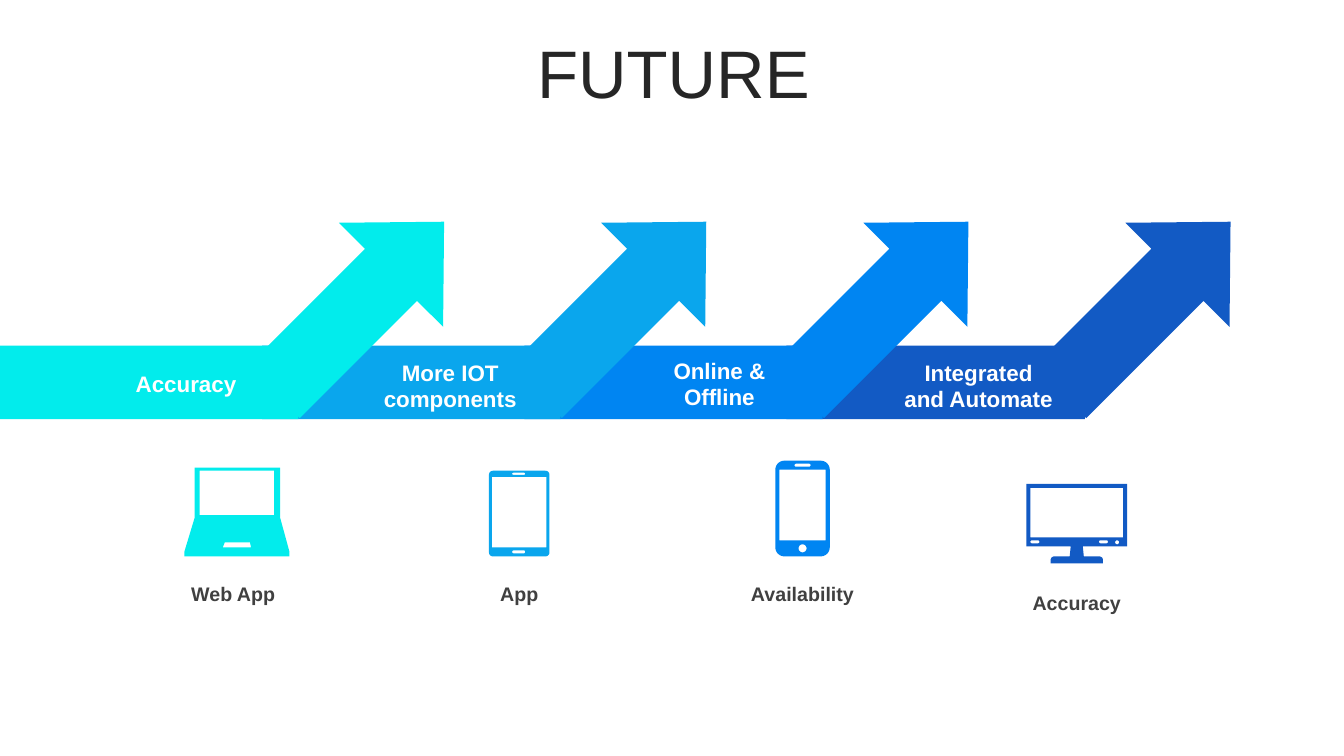
"""Build the FUTURE slide: four linked arrows above four device icons."""
from math import cos, pi, sin
from pptx import Presentation
from pptx.dml.color import RGBColor
from pptx.enum import shapes, text

PX = 9144
SIZE = (1333, 750)
THEME = {
    "font": "Arial",
    "hues": ["02ECEC", "0AA6ED", "0085F2", "125AC4"],
    "title": {"size": 48, "color": "262626", "bold": False},
    "step": {"size": 16, "color": "FFFFFF", "bold": True},
    "label": {"size": 14, "color": "404040", "bold": True},
}

TITLE = ("FUTURE", (35, 37, 1266, 79))
STEPS = [
    ("Accuracy", (100, 362, 169, 37)),
    ("More IOT components", (362, 351, 169, 64)),
    ("Online & Offline", (629, 349, 169, 64)),
    ("Integrated and Automate", (886, 351, 169, 64)),
]
LABELS = [
    ("Web App ", (104, 572, 260, 34)),
    ("App", (385, 572, 260, 34)),
    ("Availability", (666, 572, 260, 34)),
    ("Accuracy", (938, 581, 260, 34)),
]
PITCH = 260
BAR = (0, 343, 296, 73)
ARROW = (283, 185, 146, 239)

# Each icon is a list of outlines: a tuple is a box (x, y, w, h, radius), a list is a polygon.
LAPTOP = [
    [(193, 464), (278, 464), (278, 514), (287, 547),
     (287, 552), (183, 552), (183, 547), (193, 514)],
    (198, 467, 74, 44, 0),
    [(223, 538), (221, 543), (249, 543), (248, 538)],
]
TABLET = [(485, 467, 60, 85, 4), (488, 473, 54, 70, 0),
          (508, 469, 13, 2, 1), (508, 546, 13, 3, 2)]
PHONE = [(769, 457, 54, 95, 9), (773, 466, 46, 70, 0),
         (788, 460, 16, 3, 2), (792, 540, 8, 8, 4)]
SCREEN = [
    [(1018, 480), (1118, 480), (1118, 542), (1074, 542), (1075, 552),
     (1091, 552), (1093, 553), (1094, 555), (1094, 559), (1042, 559),
     (1042, 555), (1043, 553), (1045, 552), (1061, 552), (1062, 542),
     (1018, 542)],
    (1022, 484, 92, 49, 0), (1022, 536, 9, 3, 2),
    (1090, 536, 9, 3, 2), (1106, 536, 4, 4, 2),
]
ICONS = [LAPTOP, TABLET, PHONE, SCREEN]


def emu(nums):
    return [round(n * PX) for n in nums]


def paint(shape, hue):
    shape.shadow.inherit = False
    shape.fill.solid()
    shape.fill.fore_color.rgb = RGBColor.from_string(hue)
    shape.line.fill.background()


def add_form(slide, kind, box, hue):
    shape = slide.shapes.add_shape(kind, *emu(box))
    paint(shape, hue)
    return shape


def add_text(slide, words, box, style, anchor, fit):
    frame = slide.shapes.add_textbox(*emu(box)).text_frame
    form = {"word_wrap": True, "vertical_anchor": anchor, "auto_size": fit}
    for key, val in form.items():
        setattr(frame, key, val)
    para = frame.paragraphs[0]
    para.alignment = text.PP_ALIGN.CENTER
    run = para.add_run()
    run.text = words
    look = {"name": THEME["font"], "size": style["size"] * 12700,
            "bold": style["bold"]}
    for key, val in look.items():
        setattr(run.font, key, val)
    run.font.color.rgb = RGBColor.from_string(style["color"])
    return para


def outline(part):
    if isinstance(part, list):
        return part
    x, y, w, h, r = part
    r = min(r, w / 2, h / 2)
    hubs = [(x + w - r, y + h - r), (x + r, y + h - r),
            (x + r, y + r), (x + w - r, y + r)]
    turns = range(7) if r else [0]
    return [(cx + r * cos(a), cy + r * sin(a))
            for i, (cx, cy) in enumerate(hubs)
            for a in [(i + t / 6) * pi / 2 for t in turns]]


def add_icon(slide, parts, hue):
    paths = [[emu(p) for p in outline(part)] for part in parts]
    form = slide.shapes.build_freeform(*paths[0][0], scale=1.0)
    for i, pts in enumerate(paths):
        if i:
            form.move_to(*pts[0])
        form.add_line_segments(pts[1:], close=True)
    paint(form.convert_to_shape(), hue)


def main():
    deck = Presentation()
    deck.slide_width, deck.slide_height = emu(SIZE)
    slide = deck.slides.add_slide(deck.slide_layouts[6])
    kinds, anchors, fits = (shapes.MSO_SHAPE, text.MSO_ANCHOR,
                            text.MSO_AUTO_SIZE)

    head = add_text(slide, *TITLE, THEME["title"], anchors.MIDDLE, fits.NONE)
    head.line_spacing, head.space_before = 0.9, 10 * 12700

    hues = THEME["hues"]
    for i, hue in reversed(list(enumerate(hues))):
        shift = i * PITCH
        arrow = add_form(slide, kinds.UP_ARROW,
                         (ARROW[0] + shift, *ARROW[1:]), hue)
        arrow.rotation = 45
        arrow.adjustments[0], arrow.adjustments[1] = 0.5, 0.51
        add_form(slide, kinds.RECTANGLE, (BAR[0] + shift, *BAR[1:]), hue)

    grow = fits.SHAPE_TO_FIT_TEXT
    for words, box in STEPS:
        add_text(slide, words, box, THEME["step"], anchors.TOP, grow)
    for words, box in LABELS:
        add_text(slide, words, box, THEME["label"], anchors.MIDDLE, grow)
    for parts, hue in zip(ICONS, hues):
        add_icon(slide, parts, hue)
    deck.save("out.pptx")


if __name__ == "__main__":
    main()
